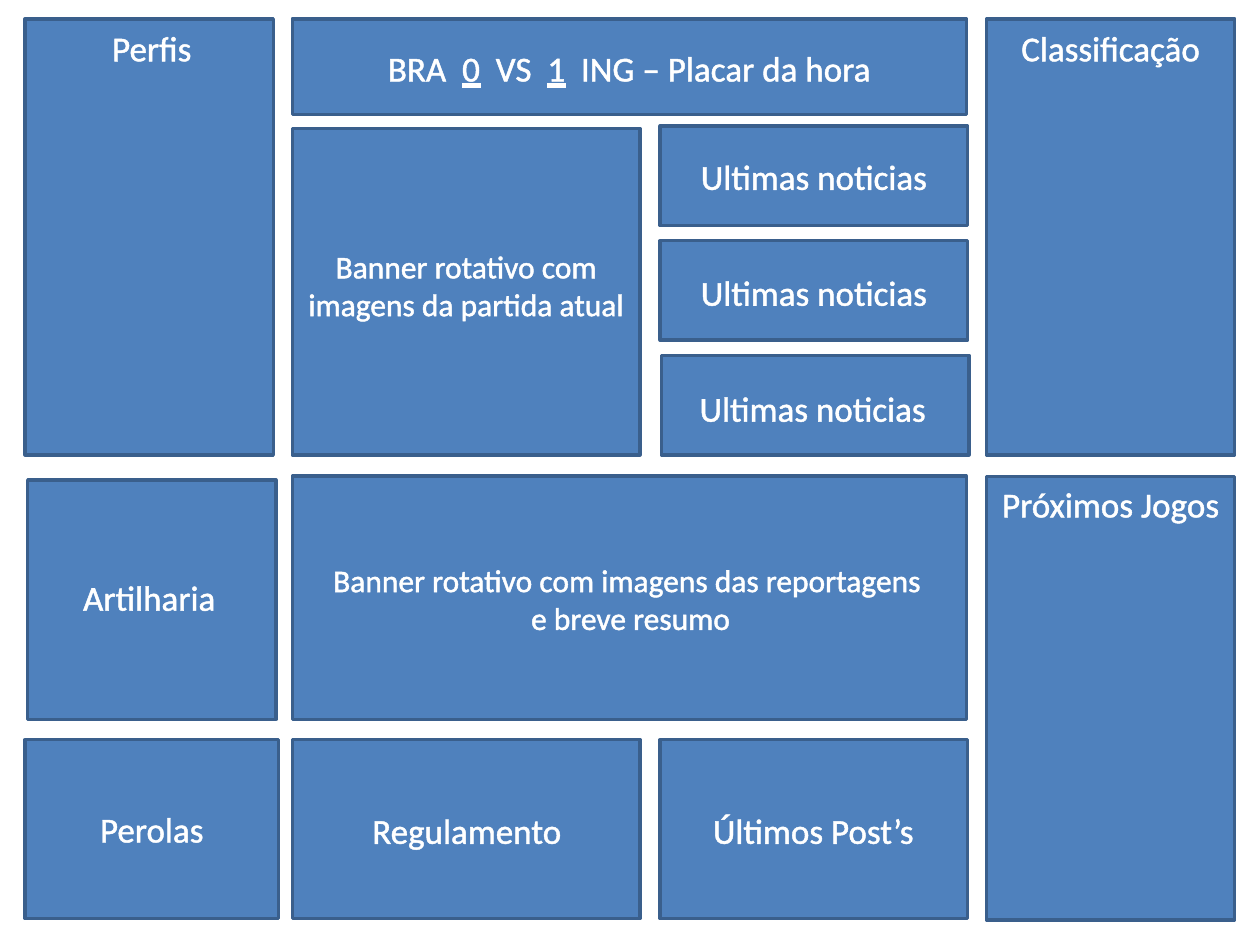
from lxml.etree import SubElement
from pptx import Presentation
from pptx.dml.color import RGBColor
from pptx.enum.shapes import MSO_SHAPE
from pptx.enum.text import MSO_AUTO_SIZE, PP_ALIGN
from pptx.oxml.ns import qn
from pptx.util import Inches, Pt

BLUE = RGBColor(0x4F, 0x81, 0xBD)
NAVY = RGBColor(0x3A, 0x5F, 0x8C)
WHITE = RGBColor(0xFF, 0xFF, 0xFF)


class Wireframe:
    font = "Calibri"
    outline = Pt(1.45)

    def __init__(self, page):
        self.page = page

    def panel(self, left, top, width, height):
        box = self.page.shapes.add_shape(
            MSO_SHAPE.RECTANGLE, Inches(left), Inches(top), Inches(width), Inches(height))
        box.shadow.inherit = False
        box.fill.solid()
        box.fill.fore_color.rgb = BLUE
        box.line.color.rgb = NAVY
        box.line.width = Pt(2)

    def label(self, left, top, width, *texts, size=20, height=0.44):
        box = self.page.shapes.add_textbox(
            Inches(left), Inches(top), Inches(width), Inches(height))
        frame = box.text_frame
        frame.word_wrap = True
        frame.auto_size = MSO_AUTO_SIZE.SHAPE_TO_FIT_TEXT
        para = frame.paragraphs[0]
        para.alignment = PP_ALIGN.CENTER
        for text in texts:
            span = para.add_run()
            span.text = text
            span.font.name = self.font
            span.font.size = Pt(size)
            span.font.color.rgb = WHITE
            if text.isdigit():
                span.font.underline = True
            self.outline_text(span)

    def outline_text(self, span):
        properties = span.font._element
        line = SubElement(properties, qn("a:ln"), w=str(int(self.outline)))
        fill = SubElement(line, qn("a:solidFill"))
        SubElement(fill, qn("a:srgbClr"), val=str(WHITE))
        properties.insert(0, line)


deck = Presentation()
deck.slide_width = Inches(10)
deck.slide_height = Inches(7.5)
wireframe = Wireframe(deck.slides.add_slide(deck.slide_layouts[6]))

LEFT, MIDDLE, NEWS, RIGHT = 0.2, 2.32, 5.24, 7.83
SIDE_WIDTH, BANNER_WIDTH, NEWS_WIDTH, WIDE = 1.97, 2.76, 2.44, 5.35
TOP, CENTER, BOTTOM = 0.15, 3.78, 5.87
NEWS_TOP, NEWS_STEP = 1, 0.91

for panel in (
    (LEFT, TOP, SIDE_WIDTH, 3.46),
    (MIDDLE, TOP, WIDE, 0.76),
    (RIGHT, TOP, SIDE_WIDTH, 3.46),
    (MIDDLE, 1.02, BANNER_WIDTH, 2.59),
    (MIDDLE, CENTER, WIDE, 1.93),
    (MIDDLE, BOTTOM, BANNER_WIDTH, 1.42),
    (NEWS, BOTTOM, NEWS_WIDTH, 1.42),
    (0.22, 3.81, SIDE_WIDTH, 1.9),
    (LEFT, BOTTOM, 2.01, 1.42),
    (RIGHT, CENTER, SIDE_WIDTH, 3.52),
):
    wireframe.panel(*panel)

for row, (panel_left, label_left) in enumerate(((NEWS, 5.25), (NEWS, 5.25), (5.25, NEWS))):
    top = NEWS_TOP + row * NEWS_STEP
    wireframe.panel(panel_left, top, NEWS_WIDTH, 0.79)
    wireframe.label(label_left, 1.18 + row * 0.92, 2.42, "Ultimas noticias")

for left, top, text in (
    (RIGHT, 0.16, "Classificação"),
    (RIGHT, CENTER, "Próximos Jogos"),
    (0.22, 0.16, "Perfis"),
    (0.22, 6.36, "Perolas"),
    (LEFT, 4.52, "Artilharia"),
    (2.72, 6.37, "Regulamento"),
    (5.47, 6.37, "Últimos Post’s"),
):
    wireframe.label(left, top, SIDE_WIDTH, text)

wireframe.label(MIDDLE, 0.32, WIDE, "BRA  ", "0", "  VS  ", "1", "  ING – Placar da hora")
wireframe.label(MIDDLE, 1.91, BANNER_WIDTH,
                "Banner rotativo com imagens da partida atual", size=18, height=0.71)
wireframe.label(2.47, 4.4, 5.07,
                "Banner rotativo com imagens das reportagens  e breve resumo",
                size=18, height=0.71)

deck.save("out.pptx")
